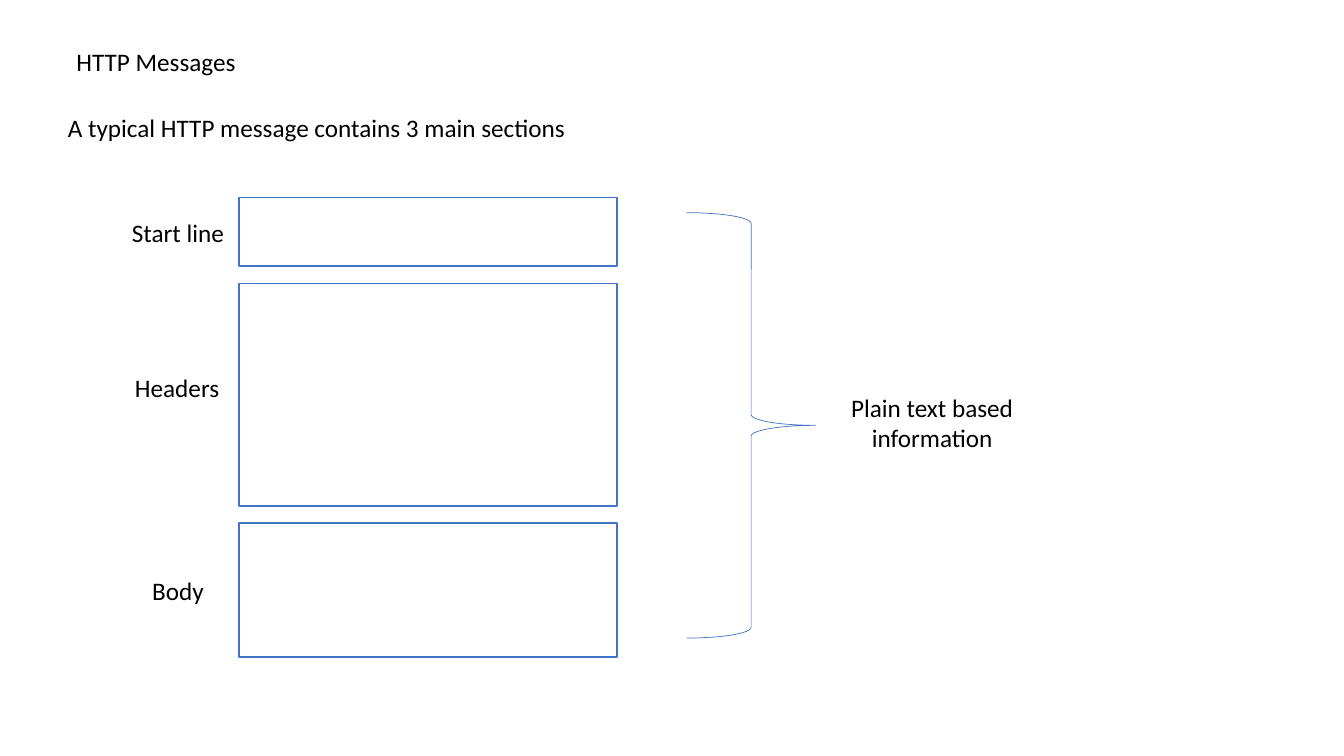
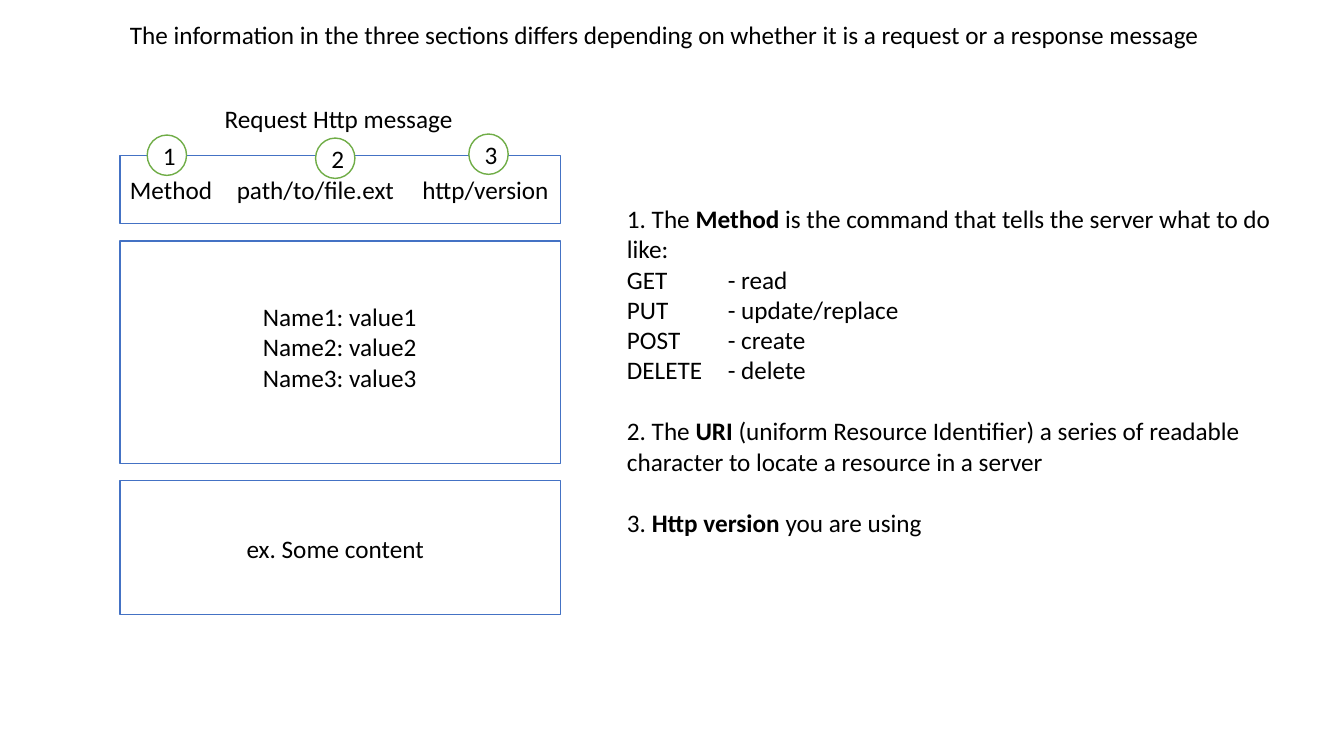
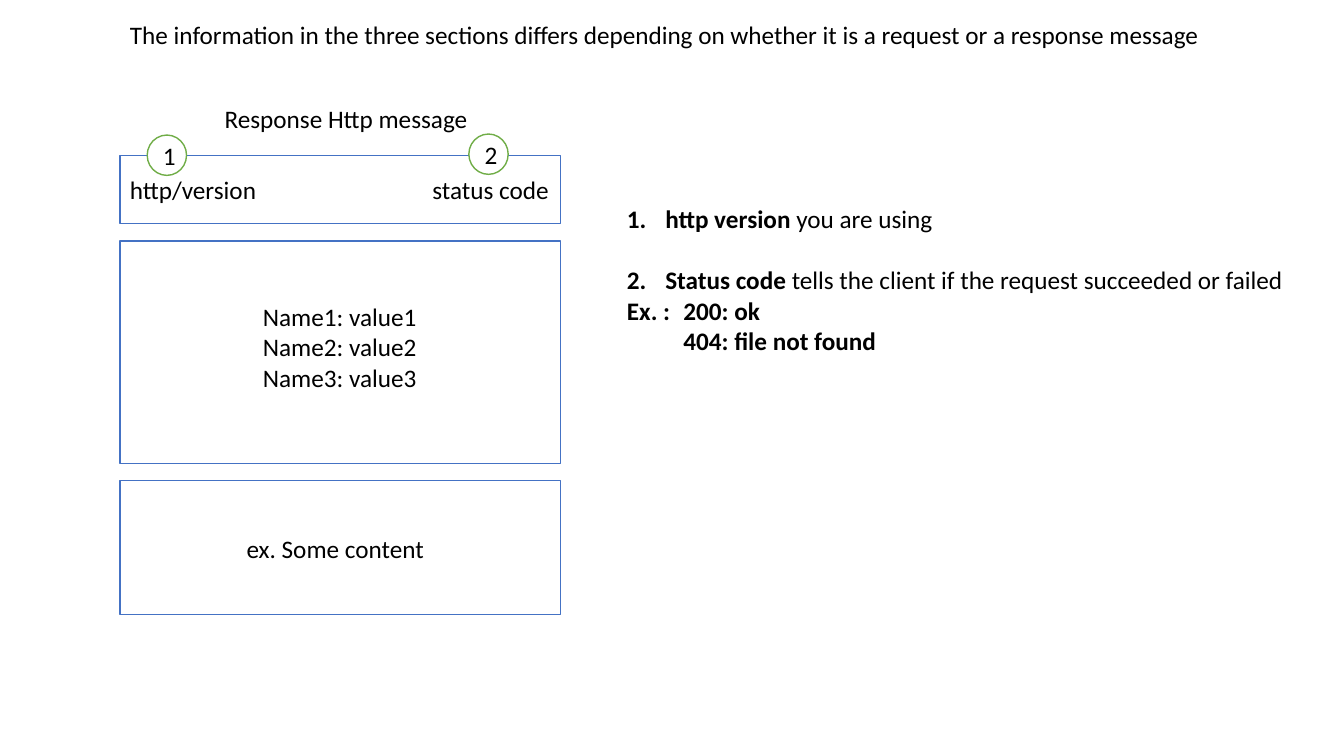
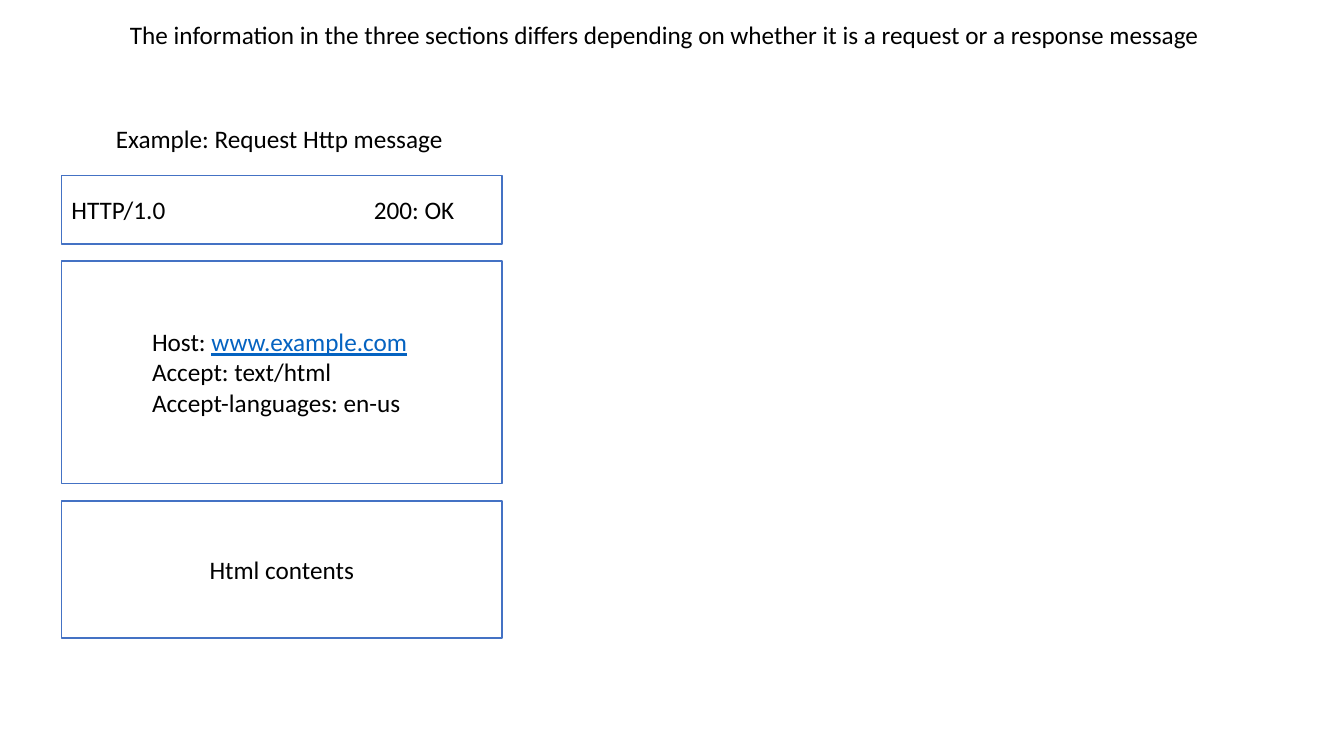
from dataclasses import dataclass

from lxml import etree
from pptx import Presentation
from pptx.dml.color import RGBColor
from pptx.enum.shapes import MSO_SHAPE
from pptx.enum.text import MSO_ANCHOR, MSO_AUTO_SIZE, PP_ALIGN
from pptx.oxml.ns import qn
from pptx.util import Inches, Pt

RECTANGLE = MSO_SHAPE.RECTANGLE
OVAL = MSO_SHAPE.OVAL
RIGHT_BRACE = MSO_SHAPE.RIGHT_BRACE
LEFT = PP_ALIGN.LEFT
CENTER = PP_ALIGN.CENTER
MIDDLE = MSO_ANCHOR.MIDDLE
GROW = MSO_AUTO_SIZE.SHAPE_TO_FIT_TEXT


@dataclass(frozen=True)
class Theme:
    font: str = "Calibri"
    size: int = 18
    blank_line: int = 22
    text: RGBColor = RGBColor.from_string("000000")
    link: RGBColor = RGBColor.from_string("0563C1")
    paper: RGBColor = RGBColor.from_string("FFFFFF")
    section: RGBColor = RGBColor.from_string("4472C4")
    marker: RGBColor = RGBColor.from_string("70AD47")
    outline: float = 1
    brace: float = 0.5


THEME = Theme()


@dataclass(frozen=True)
class Run:
    text: str
    bold: bool = False
    link: bool = False


@dataclass(frozen=True)
class Line:
    runs: tuple
    gap: bool = False
    indent: float = 0
    hanging: float = 0
    number: int = 0
    tabs: tuple = ()


SECTION_GAP = 0.17
START_HEIGHT, HEADERS_HEIGHT, BODY_HEIGHT = 0.68, 2.21, 1.33
SUBTITLE = ("The information in the three sections differs depending on "
            "whether it is a request or a response message")
HEADER_LINES = [Line((Run(f"Name{n}: value{n}"),)) for n in (1, 2, 3)]
METHODS = [("GET", "read"), ("PUT", "update/replace"),
           ("POST", "create"), ("DELETE", "delete")]
REQUEST_NOTES = [
    Line((Run("1. The "), Run("Method", bold=True),
          Run(" is the command that tells the server what to do like:"))),
    *[Line((Run(f"{method}\t- {action}"),), tabs=(1,)) for method, action in METHODS],
    Line((Run("2. The "), Run("URI", bold=True),
          Run(" (uniform Resource Identifier) a series of readable "
              "character to locate a resource in a server")), gap=True),
    Line((Run("3. "), Run("Http version ", bold=True), Run("you are using")), gap=True),
]
RESPONSE_NOTES = [
    Line((Run("http version", bold=True), Run(" you are using")),
         indent=0.38, hanging=0.38, number=1),
    Line((Run("Status code", bold=True),
          Run(" tells the client if the request succeeded or failed")),
         gap=True, indent=0.38, hanging=0.38, number=2),
    Line((Run("Ex. :\t200: ok", bold=True),), indent=0.56, hanging=0.56, tabs=(0.56,)),
    Line((Run("404: file not found", bold=True),), indent=0.56),
]


def format_line(paragraph, line, align):
    paragraph.alignment = align
    paragraph.space_before = Pt(THEME.blank_line if line.gap else 0)
    properties = paragraph._p.get_or_add_pPr()
    if line.indent:
        properties.set("marL", str(Inches(line.indent)))
        properties.set("indent", str(Inches(-line.hanging)))
    if line.number:
        etree.SubElement(properties, qn("a:buAutoNum"),
                         type="arabicPeriod", startAt=str(line.number))
    if line.tabs:
        stops = etree.SubElement(properties, qn("a:tabLst"))
        for position in line.tabs:
            etree.SubElement(stops, qn("a:tab"), pos=str(Inches(position)), algn="l")


def write(frame, content, align=LEFT):
    lines = [Line((Run(content),))] if isinstance(content, str) else content
    for index, line in enumerate(lines):
        paragraph = frame.add_paragraph() if index else frame.paragraphs[0]
        format_line(paragraph, line, align)
        for part in line.runs:
            run = paragraph.add_run()
            run.text = part.text
            run.font.name = THEME.font
            run.font.size = Pt(THEME.size)
            run.font.bold = part.bold
            run.font.underline = part.link
            run.font.color.rgb = THEME.link if part.link else THEME.text


def add_text(slide, content, left, top, width, height=0.4, align=LEFT, wrap=False):
    box = slide.shapes.add_textbox(Inches(left), Inches(top), Inches(width), Inches(height))
    box.text_frame.word_wrap = wrap
    box.text_frame.auto_size = GROW
    write(box.text_frame, content, align=align)


def add_outline(slide, kind, left, top, width, height, color,
                weight=THEME.outline, filled=True, text=None):
    shape = slide.shapes.add_shape(
        kind, Inches(left), Inches(top), Inches(width), Inches(height))
    shape.shadow.inherit = False
    if filled:
        shape.fill.solid()
        shape.fill.fore_color.rgb = THEME.paper
    else:
        shape.fill.background()
    shape.line.color.rgb = color
    shape.line.width = Pt(weight)
    if text:
        shape.text_frame.vertical_anchor = MIDDLE
        write(shape.text_frame, text, align=CENTER)


def add_sections(slide, left, top, width=4.37, body_height=BODY_HEIGHT, body=None):
    for height, text in ((START_HEIGHT, None), (HEADERS_HEIGHT, None), (body_height, body)):
        add_outline(slide, RECTANGLE, left, top, width, height, THEME.section, text=text)
        top += height + SECTION_GAP


def add_start_line(slide, fields, left, top, tabs):
    line = Line((Run("\t".join(fields)),), tabs=tabs)
    add_text(slide, [line], left, top, 4.41, wrap=True)


def add_markers(slide, positions):
    for number, (left, top) in enumerate(positions, 1):
        add_outline(slide, OVAL, left, top, 0.39, 0.4, THEME.marker, text=str(number))


def add_subtitle(slide):
    add_text(slide, SUBTITLE, 1.19, 0.14, 10.95)


def add_message(slide, name, name_width, fields, tabs, notes, notes_height, markers):
    add_subtitle(slide)
    add_sections(slide, 1.19, 1.54)
    add_start_line(slide, fields, 1.19, 1.68, tabs)
    add_text(slide, "ex. Some content", 2.13, 5.24, 2.39, align=CENTER, wrap=True)
    add_text(slide, HEADER_LINES, 2.51, 2.94, 1.74, 1.01)
    add_text(slide, name, 2.13, 0.98, name_width)
    add_text(slide, notes, 6.12, 1.97, 6.86, notes_height, wrap=True)
    add_markers(slide, markers)


def add_overview(slide):
    add_text(slide, "HTTP Messages", 0.66, 0.41, 1.8)
    add_text(slide, "A typical HTTP message contains 3 main sections",
             0.29, 1.07, 5.7, align=CENTER, wrap=True)
    add_sections(slide, 2.37, 1.96, width=3.75)
    for label, left, top, width in (("Start line", 1.21, 2.11, 1.12),
                                    ("Headers", 1.24, 3.64, 1.05),
                                    ("Body", 1.41, 5.66, 0.72)):
        add_text(slide, label, left, top, width)
    add_outline(slide, RIGHT_BRACE, 6.81, 2.11, 1.28, 4.22, THEME.section,
                weight=THEME.brace, filled=False)
    add_text(slide, "Plain text based information",
             8.3, 3.84, 1.89, 0.71, align=CENTER, wrap=True)


def add_example(slide):
    add_subtitle(slide)
    add_sections(slide, 0.61, 1.74, body_height=1.36, body="Html contents")
    add_start_line(slide, ("HTTP/1.0", "200: OK"), 0.61, 1.88, (3,))
    headers = [Line((Run("Host: "), Run("www.example.com", link=True))),
               Line((Run("Accept: text/html"),)),
               Line((Run("Accept-languages: en-us"),))]
    add_text(slide, headers, 1.41, 3.19, 2.76, 1.01)
    add_text(slide, "Example: Request Http message", 1.05, 1.17, 3.49)


def main():
    deck = Presentation()
    deck.slide_width, deck.slide_height = Inches(13.33), Inches(7.5)
    overview, request, response, example = (
        deck.slides.add_slide(deck.slide_layouts[6]) for _ in range(4))
    add_overview(overview)
    add_message(request, "Request Http message", 2.49,
                ("Method", "path/to/file.ext", "http/version"), (1.06, 2.9),
                REQUEST_NOTES, 3.43, ((1.46, 1.34), (3.13, 1.37), (4.65, 1.33)))
    add_message(response, "Response Http message", 2.64,
                ("http/version", "status code"), (3,),
                RESPONSE_NOTES, 1.62, ((1.46, 1.34), (4.65, 1.33)))
    add_example(example)
    deck.save("out.pptx")


if __name__ == "__main__":
    main()
